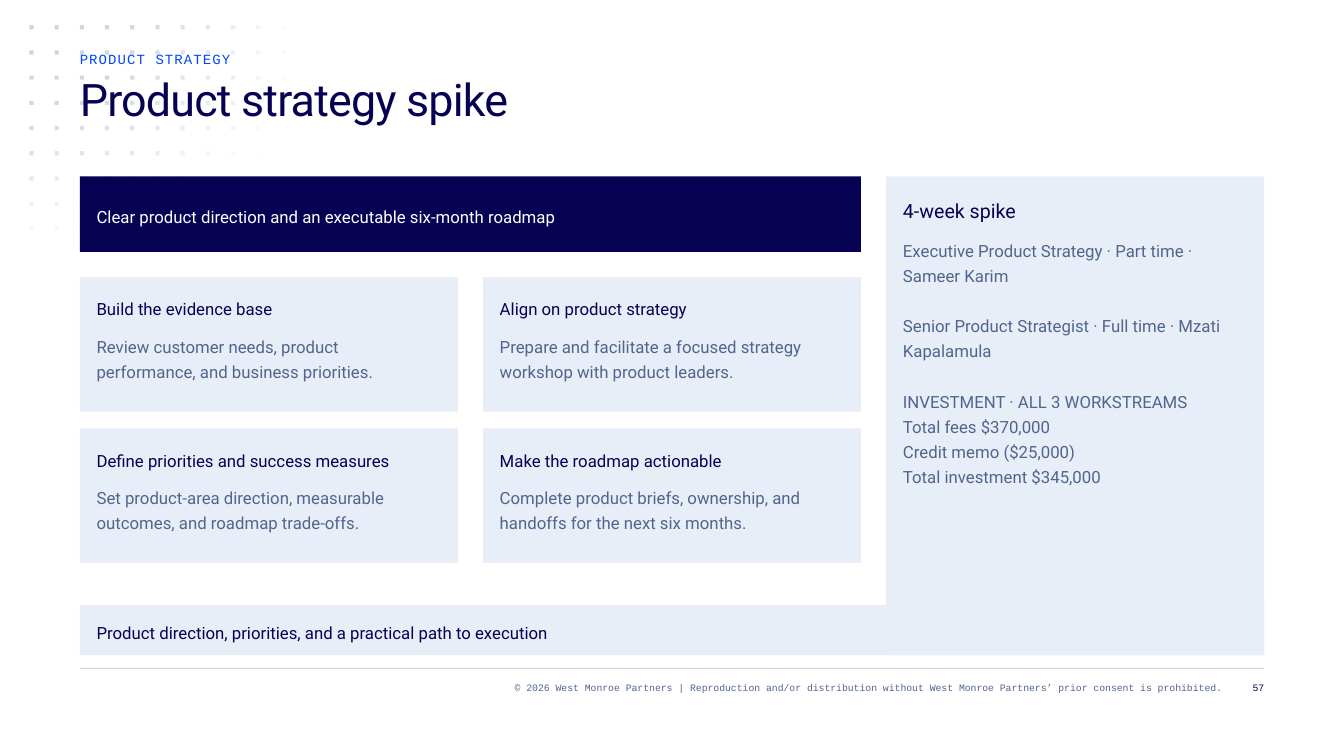
"""Build the product strategy spike slide."""
from math import hypot

from lxml import etree
from pptx import Presentation
from pptx.dml.color import RGBColor
from pptx.enum.shapes import MSO_SHAPE
from pptx.enum.text import PP_ALIGN
from pptx.oxml.ns import qn
from pptx.util import Pt

PX = 9525
RECT = MSO_SHAPE.RECTANGLE
LEFT, RIGHT = PP_ALIGN.LEFT, PP_ALIGN.RIGHT
SANS, MONO = "Roboto", "Courier New"
COLORS = {
    "navy": "070154",
    "blue": "0047FF",
    "slate": "50658E",
    "panel": "E8EEF8",
    "rule": "CED7E6",
    "white": "FFFFFF",
}

prs = Presentation()
prs.slide_width, prs.slide_height = 1280 * PX, 720 * PX
s = prs.slides.add_slide(prs.slide_layouts[6])


def add_rect(x, y, w, h, color, alpha=100):
    sp = s.shapes.add_shape(RECT, x * PX, y * PX, w * PX, h * PX)
    sp.shadow.inherit = False
    sp.line.fill.background()
    sp.fill.solid()
    sp.fill.fore_color.rgb = RGBColor.from_string(COLORS[color])
    if alpha < 100:
        clr = sp.fill._xPr.find(".//" + qn("a:srgbClr"))
        etree.SubElement(clr, qn("a:alpha"), val=str(alpha * 1000))


def add_text(x, y, w, h, paragraphs, color, size=12, leading=18, font=SANS,
             align=LEFT, tracking=0):
    tf = s.shapes.add_textbox(x * PX, y * PX, w * PX, h * PX).text_frame
    tf.word_wrap = True
    tf.margin_left = tf.margin_top = tf.margin_right = tf.margin_bottom = 0
    tf.text = "\n".join(paragraphs)
    for p in tf.paragraphs:
        p.alignment = align
        p.line_spacing = Pt(leading)
        for r in p.runs:
            r.font.name = font
            r.font.size = Pt(size)
            r.font.color.rgb = RGBColor.from_string(COLORS[color])
            if tracking:
                r._r.get_or_add_rPr().set("spc", str(tracking))
    return tf


add_rect(76, 636, 1128, 1, "rule")

for col in range(11):
    for row in range(9 if col < 3 else 7):
        alpha = int(152.8 - hypot(13.8 * col, 16.8 * row))
        if alpha > 0:
            add_rect(28 + 24 * col, 24 + 24 * row, 4, 4, "rule", alpha)

copyright_line = ("© 2026 West Monroe Partners | Reproduction and/or distribution "
                  "without West Monroe Partners’ prior consent is prohibited.")
add_text(228, 648, 936, 24, [copyright_line], "slate", 7, 9, MONO, RIGHT)
add_text(1172, 648, 32, 24, ["57"], "navy", 7, 9, MONO, RIGHT)

add_rect(76, 168, 744, 72, "navy")
add_text(92, 192, 712, 24,
         ["Clear product direction and an executable six-month roadmap"], "white")

cards = [
    ("Build the evidence base",
     "Review customer needs, product performance, and business priorities."),
    ("Align on product strategy",
     "Prepare and facilitate a focused strategy workshop with product leaders."),
    ("Define priorities and success measures",
     "Set product-area direction, measurable outcomes, and roadmap trade-offs."),
    ("Make the roadmap actionable",
     "Complete product briefs, ownership, and handoffs for the next six months."),
]
for i, (heading, body) in enumerate(cards):
    x, y = 76 + 384 * (i % 2), 264 + 144 * (i // 2)
    add_rect(x, y, 360, 128, "panel")
    add_text(x + 16, y + 16, 328, 24, [heading], "navy")
    add_text(x + 16, y + 52, 328, 48, [body], "slate")

add_rect(844, 168, 360, 456, "panel")
add_text(860, 184, 328, 28, ["4-week spike"], "navy", 14, 21)
tf = add_text(860, 224, 328, 240, [
    "Executive Product Strategy · Part time · Sameer Karim",
    "Senior Product Strategist · Full time · Mzati Kapalamula",
    "INVESTMENT · ALL 3 WORKSTREAMS",
    "Total fees $370,000",
    "Credit memo ($25,000)",
    "Total investment $345,000",
], "slate")
for p in tf.paragraphs[1:3]:
    p.space_before = Pt(18)

add_rect(76, 576, 1128, 48, "panel")
add_text(92, 588, 1096, 24,
         ["Product direction, priorities, and a practical path to execution"], "navy")

add_text(76, 72, 984, 96, ["Product strategy spike"], "navy", 32, 36, tracking=-60)
add_text(76, 48, 984, 24, ["PRODUCT STRATEGY"], "blue", 10, 12, MONO, tracking=80)

prs.save("out.pptx")
